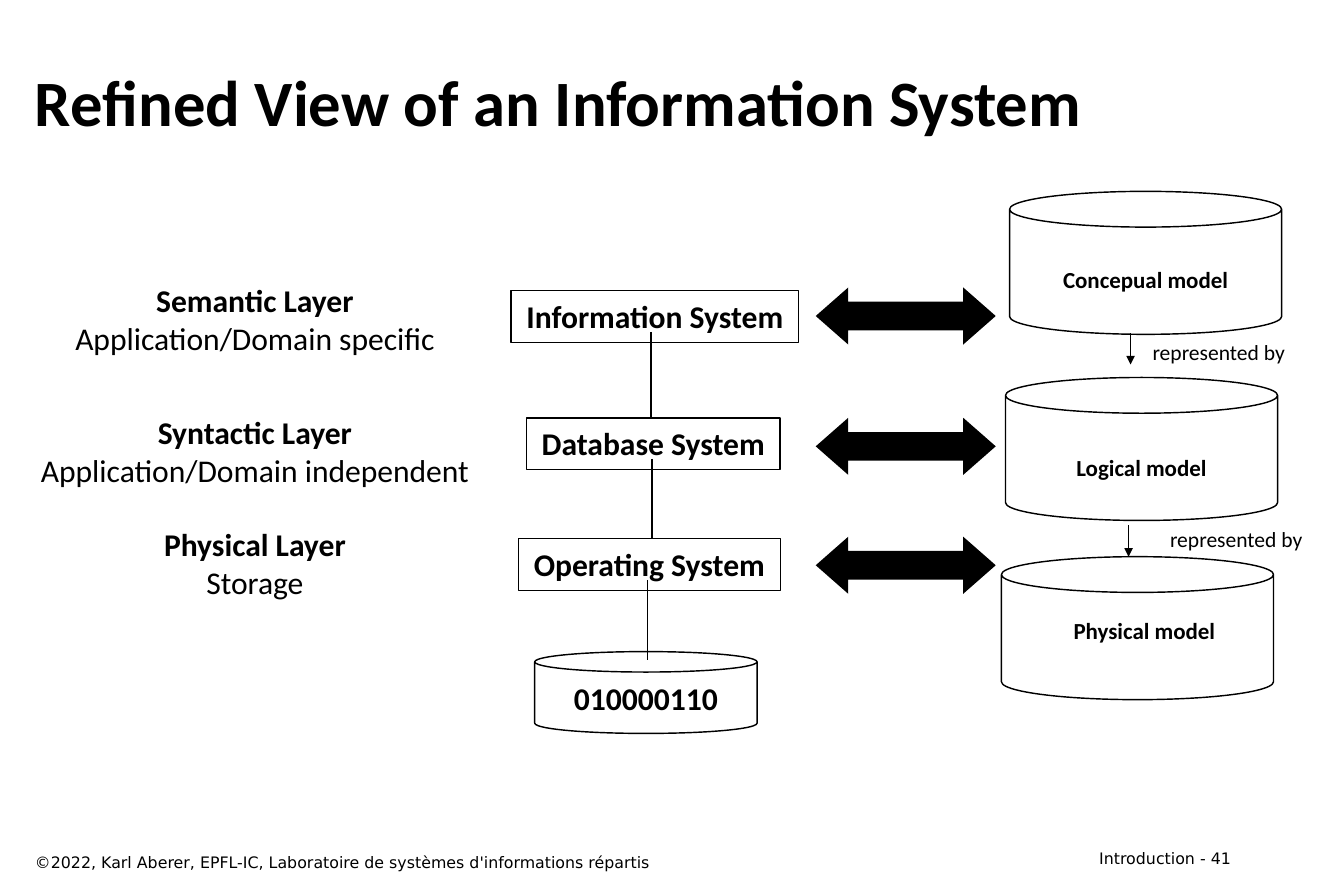
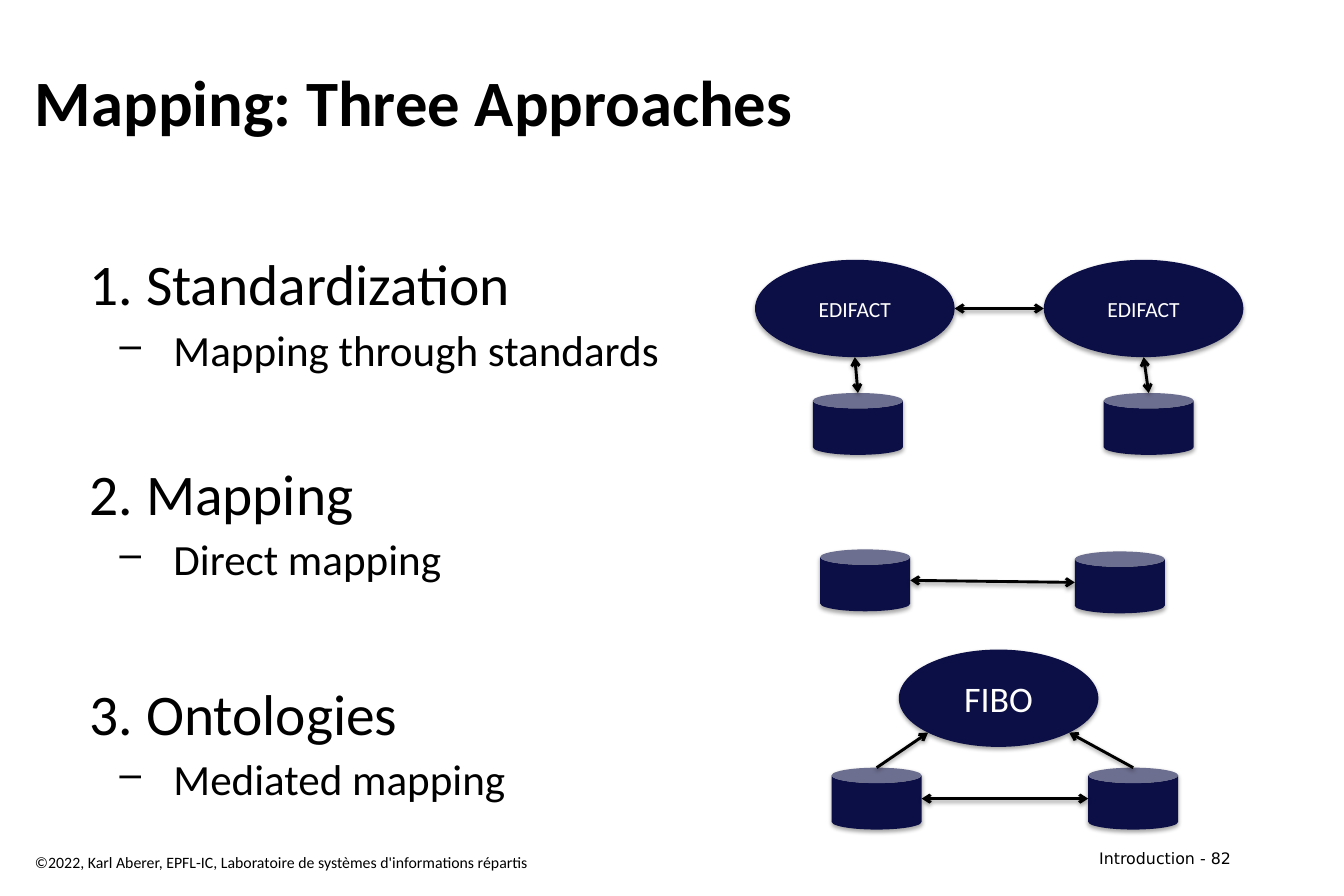
from lxml import etree
from pptx import Presentation
from pptx.dml.color import RGBColor
from pptx.enum.shapes import MSO_CONNECTOR, MSO_SHAPE
from pptx.enum.text import MSO_ANCHOR, PP_ALIGN
from pptx.oxml.ns import qn
from pptx.util import Cm, Pt

BLACK = RGBColor(0x00, 0x00, 0x00)
WHITE = RGBColor(0xFF, 0xFF, 0xFF)
NAVY = RGBColor(0x0C, 0x0F, 0x46)

BODY_FONT = "Calibri"
NUMBER_FONT = "DejaVu Sans"
COPYRIGHT = "©2022, Karl Aberer, EPFL-IC, Laboratoire de systèmes d'informations répartis"

LEFT, CENTER, RIGHT = PP_ALIGN.LEFT, PP_ALIGN.CENTER, PP_ALIGN.RIGHT
TOP, MIDDLE = MSO_ANCHOR.TOP, MSO_ANCHOR.MIDDLE
RECTANGLE, ELLIPSE, CAN = MSO_SHAPE.RECTANGLE, MSO_SHAPE.OVAL, MSO_SHAPE.CAN
DOUBLE_ARROW = MSO_SHAPE.LEFT_RIGHT_ARROW
STRAIGHT = MSO_CONNECTOR.STRAIGHT

WIDE_INSETS = (0.3, 0.15)
SMALL_INSETS = (0.25, 0.13)
ELLIPSE_SIZE = (4.9, 2.39)
STORE_SIZE = (2.21, 1.52)
DIAGONAL = 0.5 ** 0.5 / 2  # offset of a 45° point on an ellipse, as a share of its size


# Positions and sizes are numbers in centimetres; the helpers turn them into Cm.

def write(shape, text, size, bold=False, align=LEFT, anchor=TOP, wrap=True,
          color=BLACK, font=BODY_FONT, insets=WIDE_INSETS):
    frame = shape.text_frame
    frame.text = text
    frame.word_wrap = wrap
    frame.vertical_anchor = anchor
    frame.margin_left = frame.margin_right = Cm(insets[0])
    frame.margin_top = frame.margin_bottom = Cm(insets[1])
    for paragraph in frame.paragraphs:
        paragraph.alignment = align
        style(paragraph, size, bold, color, font)
    return frame


def style(paragraph, size, bold=False, color=BLACK, font=BODY_FONT):
    for span in paragraph.runs:
        span.font.name = font
        span.font.size = Pt(size)
        span.font.bold = bold
        span.font.color.rgb = color


def add_text(page, left, top, width, height, text, size, **options):
    box = page.shapes.add_textbox(Cm(left), Cm(top), Cm(width), Cm(height))
    return write(box, text, size, **options)


def add_shape(page, kind, left, top, width, height, fill=None, line=None):
    shape = page.shapes.add_shape(kind, Cm(left), Cm(top), Cm(width), Cm(height))
    if fill is None:
        shape.fill.background()
    else:
        shape.fill.solid()
        shape.fill.fore_color.rgb = fill
    if line is None:
        shape.line.fill.background()
    else:
        shape.line.color.rgb = line
        shape.line.width = Pt(1)
    shape.shadow.inherit = False
    return shape


def add_shadow(effects, opacity, distance):
    """Fill an a:effectLst with a soft shadow that falls straight down."""
    shadow = etree.SubElement(effects, qn("a:outerShdw"), blurRad=str(Pt(3.1)),
                              dist=str(Pt(distance)), dir="5400000", rotWithShape="0")
    color = etree.SubElement(shadow, qn("a:srgbClr"), val=str(BLACK))
    etree.SubElement(color, qn("a:alpha"), val=str(opacity * 1000))


def add_line(page, start, end, width=1, head=None, tail=None, shadow=False):
    line = page.shapes.add_connector(STRAIGHT, *(Cm(value) for value in (*start, *end)))
    line.line.color.rgb = BLACK
    line.line.width = Pt(width)
    properties = line.element.spPr
    outline = properties.find(qn("a:ln"))
    for tag, arrow in (("a:headEnd", head), ("a:tailEnd", tail)):
        if arrow:
            etree.SubElement(outline, qn(tag), type=arrow)
    effects = etree.SubElement(properties, qn("a:effectLst"))
    if shadow:
        add_shadow(effects, 38, 1.6)


def point(shape, across, down):
    """Return the place at the given shares of a shape's width and height."""
    return (shape.left.cm + across * shape.width.cm,
            shape.top.cm + down * shape.height.cm)


def add_page(deck, title, number, footer_font):
    page = deck.slides.add_slide(deck.slide_layouts[6])
    add_text(page, 23.65, 20.7, 6.88, 0.74, f"Introduction - {number}", 11,
             align=RIGHT, font=NUMBER_FONT)
    add_text(page, 0.56, 0.99, 29.97, 2.95, title, 45, bold=True, anchor=MIDDLE)
    add_text(page, 0.56, 20.78, 21.18, 0.74, COPYRIGHT, 11, font=footer_font)
    return page


# Refined view of an information system

def add_layers(page, left, top):
    layers = (
        (0, "Semantic Layer", "Application/Domain specific"),
        (3.22, "Syntactic Layer", "Application/Domain independent"),
        (5.99, "Physical Layer", "Storage"),
    )
    for offset, name, scope in layers:
        frame = add_text(page, left, top + offset, 11.3, 2.21, f"{name}\n{scope}", 22,
                         align=CENTER, wrap=False)
        style(frame.paragraphs[0], 22, bold=True)


def add_systems(page, left, top):
    """Stack the three systems, each with a line down to the next, over the store."""
    systems = (
        ("Information System", 0, 0, 7.06, 3.43, 3.1),
        ("Database System", 0.38, 3.12, 6.22, 3.46, 6.09),
        ("Operating System", 0.18, 6.09, 6.43, 3.35, 9.06),
    )
    store = add_shape(page, CAN, left + 0.58, top + 8.86, 5.46, 2.01, WHITE, BLACK)
    write(store, "010000110", 22, bold=True, align=CENTER, anchor=MIDDLE)
    for name, across, down, width, line_across, line_end in systems:
        box = add_shape(page, RECTANGLE, left + across, top + down, width, 1.27, line=BLACK)
        write(box, name, 22, bold=True, align=CENTER, wrap=False)
        add_line(page, (left + line_across, top + down + 1.01),
                 (left + line_across, top + line_end))


def add_exchange_arrows(page, left, top):
    for offset in (0, 3.2, 6.12):
        arrow = add_shape(page, DOUBLE_ARROW, left, top + offset, 4.42, 1.4, fill=BLACK)
        arrow.adjustments[0] = 0.5
        arrow.adjustments[1] = 0.57


def add_models(page, left, top):
    width, height = 6.68, 3.51
    models = (
        ("Concepual model", 0.2, 0, 0, 1.7),
        ("Logical model", 0.1, 4.57, 0, 1.73),
        ("Physical model", 0, 8.97, 0.17, 1.34),
    )
    for name, across, down, label_across, label_down in models:
        add_shape(page, CAN, left + across, top + down, width, height, line=BLACK)
        add_text(page, left + across + label_across, top + down + label_down, width, 0.94,
                 name, 16, bold=True, align=CENTER, wrap=False, insets=SMALL_INSETS)
    links = ((3.17, 3.48, 3.43, 3.5), (3.12, 8.2, 3.86, 8.08))
    for across, down, label_across, label_down in links:
        add_line(page, (left + across, top + down), (left + across, top + down + 0.77),
                 width=0.75, tail="triangle")
        add_text(page, left + label_across, top + label_down, 3.81, 0.89, "represented by",
                 15, align=CENTER, wrap=False, insets=SMALL_INSETS)


# Mapping approaches

def add_approaches(page, left, top):
    approaches = (
        ("1. Standardization", 0, "Mapping through standards"),
        ("2. Mapping", 58, "Direct mapping"),
        ("3. Ontologies", 65, "Mediated mapping"),
    )
    lines = [line for name, _, detail in approaches for line in (name, detail)]
    frame = add_text(page, left, top, 29.69, 14.4, "\n".join(lines), 40)
    for index, (_, gap, _) in enumerate(approaches):
        heading, detail = frame.paragraphs[2 * index:2 * index + 2]
        heading.space_before = Pt(gap)
        add_dash(detail)
        detail.space_before = Pt(4)
        style(detail, 30)


def add_dash(paragraph):
    paragraph.level = 1
    properties = paragraph._p.get_or_add_pPr()
    properties.set("marL", str(Cm(2.06)))
    properties.set("indent", str(Cm(-1.32)))
    etree.SubElement(properties, qn("a:buSzPct"), val="90000")
    etree.SubElement(properties, qn("a:buChar"), char="–")


def add_solid(page, kind, left, top, size):
    shape = add_shape(page, kind, left, top, *size, fill=NAVY)
    add_shadow(shape.element.spPr.find(qn("a:effectLst")), 35, 1.8)
    return shape


def add_standard(page, left, top, name, size):
    ellipse = add_solid(page, ELLIPSE, left, top, ELLIPSE_SIZE)
    write(ellipse, name, size, align=CENTER, anchor=MIDDLE, color=WHITE)
    return ellipse


def add_store(page, left, top):
    return add_solid(page, CAN, left, top, STORE_SIZE)


def join(page, start, end, both_ways=True):
    add_line(page, start, end, width=2, head="arrow" if both_ways else None,
             tail="arrow", shadow=True)


def join_sides(page, first, second):
    join(page, point(first, 1, 0.5), point(second, 0, 0.5))


def add_standardization(page, left, top):
    standards = []
    for across, store_across in ((0, 1.42), (7.09, 8.56)):
        standard = add_standard(page, left + across, top, "EDIFACT", 15)
        store = add_store(page, left + store_across, top + 3.27)
        join(page, point(standard, 0.5, 1), point(store, 0.5, 0))
        standards.append(standard)
    join_sides(page, *standards)


def add_direct_mapping(page, left, top):
    join_sides(page, add_store(page, left, top), add_store(page, left + 6.25, top + 0.05))


def add_ontology(page, left, top):
    ontology = add_standard(page, left + 1.65, top, "FIBO", 25)
    stores = [add_store(page, left + across, top + 2.9) for across in (0, 6.3)]
    join_sides(page, *stores)
    for store, side in zip(stores, (-1, 1)):
        join(page, point(store, 0.5, 0),
             point(ontology, 0.5 + side * DIAGONAL, 0.5 + DIAGONAL), both_ways=False)


def build_refined_view(deck):
    page = add_page(deck, "Refined View of an Information System", 41, NUMBER_FONT)
    add_layers(page, 0.61, 6.76)
    add_systems(page, 12.55, 7.14)
    add_exchange_arrows(page, 20.03, 7.06)
    add_models(page, 24.59, 4.7)


def build_approaches(deck):
    page = add_page(deck, "Mapping: Three Approaches", 82, BODY_FONT)
    add_approaches(page, 1.9, 5.95)
    add_standardization(page, 18.54, 6.38)
    add_direct_mapping(page, 20.14, 13.49)
    add_ontology(page, 20.42, 15.95)


def main():
    deck = Presentation()
    deck.slide_width, deck.slide_height = Cm(33), Cm(22)
    build_refined_view(deck)
    build_approaches(deck)
    deck.save("out.pptx")


if __name__ == "__main__":
    main()
